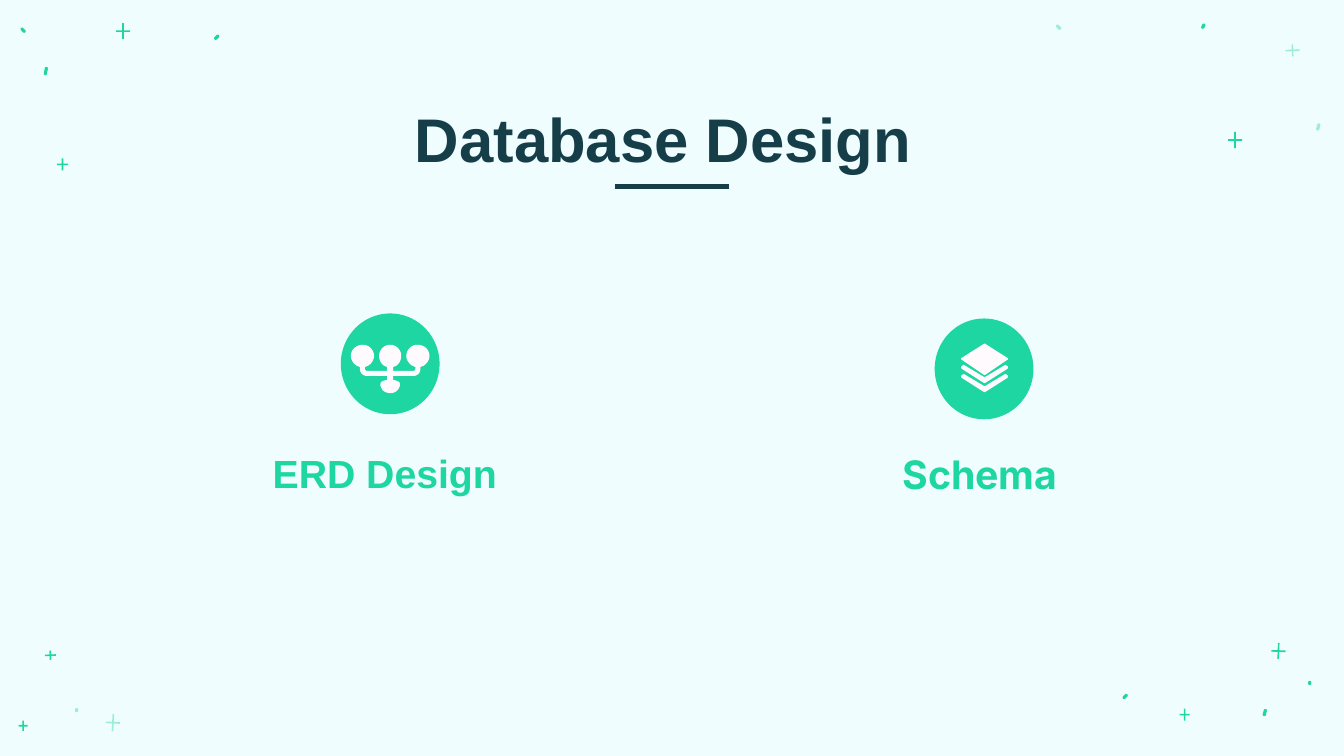
import math
from lxml import etree
from pptx import Presentation
from pptx import util as u
from pptx.dml.color import RGBColor
from pptx.enum import shapes, text
from pptx.oxml.ns import qn

GREEN, NAVY, ICON_WHITE, BACKDROP = "1DD6A1", "163E49", "FEFAFD", "F0FDFF"


def color(hex_code):
    return RGBColor.from_string(hex_code)


def trace(start, segments, steps=8):
    """Turn lines (x, y) and cubic curves (six numbers) into points."""
    points = [start]
    for segment in segments:
        if len(segment) == 2:
            points.append(segment)
            continue
        (x0, y0), (x1, y1, x2, y2, x3, y3) = points[-1], segment
        for step in range(1, steps + 1):
            t = step / steps
            a, b, c, d = (1 - t) ** 3, 3 * t * (1 - t) ** 2, 3 * t * t * (1 - t), t ** 3
            points.append((a * x0 + b * x1 + c * x2 + d * x3,
                           a * y0 + b * y1 + c * y2 + d * y3))
    return points


def mirrored(half, axis):
    return half + [(2 * axis - x, y) for x, y in reversed(half)]


class Deck:
    def __init__(self):
        self.prs = Presentation()
        self.prs.slide_width, self.prs.slide_height = u.Inches(13.33), u.Inches(7.5)
        self.slide = self.prs.slides.add_slide(self.prs.slide_layouts[5])
        self.slide.background.fill.solid()
        self.slide.background.fill.fore_color.rgb = color(BACKDROP)

    def paint(self, shape, fill, faint=False):
        shape.shadow.inherit = False
        shape.fill.solid()
        shape.fill.fore_color.rgb = color(fill)
        shape.line.fill.background()
        if faint:
            tint = shape._element.spPr.find(qn("a:solidFill"))[0]
            etree.SubElement(tint, qn("a:alpha")).set("val", "40000")
        return shape

    def preset(self, kind, box, fill):
        shape = self.slide.shapes.add_shape(kind, *map(u.Inches, box))
        return self.paint(shape, fill)

    def outline(self, points, fill, faint=False):
        corners = [(u.Inches(x), u.Inches(y)) for x, y in points]
        builder = self.slide.shapes.build_freeform(*corners[0])
        builder.add_line_segments(corners[1:], close=True)
        return self.paint(builder.convert_to_shape(), fill, faint)

    def cross(self, cx, cy, width, height, tilt=0, faint=False):
        w, h, t = width / 2, height / 2, 0.008
        quarter = [(t, -h), (t, -t), (w, -t)]
        right = quarter + [(x, -y) for x, y in reversed(quarter)]
        points = [(cx + x, cy + y) for x, y in mirrored(right, 0)]
        self.outline(points, GREEN, faint).rotation = tilt

    def dash(self, x1, y1, x2, y2, faint=False, radius=0.016):
        """A short stroke with round ends."""
        heading = math.atan2(y2 - y1, x2 - x1)
        points = []
        for x, y, turn in ((x2, y2, -math.pi / 2), (x1, y1, math.pi / 2)):
            for step in range(9):
                angle = heading + turn + math.pi * step / 8
                points.append((x + radius * math.cos(angle), y + radius * math.sin(angle)))
        self.outline(points, GREEN, faint)

    def set_words(self, shape, words, box, size, fill, font="Arial", inset=0.1, spacing=0.9):
        for side, length in zip(("left", "top", "width", "height"), box):
            setattr(shape, side, u.Inches(length))
        frame = shape.text_frame
        frame.text = words
        margins = {f"margin_{side}": u.Inches(inset)
                   for side in ("left", "top", "right", "bottom")}
        paragraph = frame.paragraphs[0]
        run = paragraph.runs[0]
        formats = (
            (frame, {"word_wrap": True, "auto_size": text.MSO_AUTO_SIZE.NONE,
                     "vertical_anchor": text.MSO_ANCHOR.BOTTOM, **margins}),
            (paragraph, {"alignment": text.PP_ALIGN.CENTER, "line_spacing": spacing}),
            (run.font, {"name": font, "size": u.Pt(size), "bold": True}),
        )
        for target, values in formats:
            for name, value in values.items():
                setattr(target, name, value)
        run.font.color.rgb = color(fill)

    def title(self, words, box, **style):
        self.set_words(self.slide.shapes.title, words, box, **style)

    def label(self, words, box, **style):
        shape = self.slide.shapes.add_textbox(*map(u.Inches, box))
        self.set_words(shape, words, box, **style)


def main():
    deck = Deck()

    # Confetti in the corners: centre, size, tilt, faint
    for sparkle in (
        (1.22, 0.31, 0.14, 0.16), (12.25, 1.39, 0.14, 0.16),
        (12.82, 0.5, 0.14, 0.12, -2, True), (0.62, 1.63, 0.11, 0.12),
        (0.23, 7.2, 0.09, 0.1), (11.75, 7.09, 0.1, 0.12),
        (1.12, 7.17, 0.14, 0.17, 3, True), (0.5, 6.5, 0.11, 0.09, -2),
        (12.68, 6.46, 0.14, 0.16, 2),
    ):
        deck.cross(*sparkle)
    for stroke in (
        (12.55, 7.05, 12.54, 7.09), (12.99, 6.77, 12.99, 6.78),
        (11.94, 0.25, 11.93, 0.27), (0.22, 0.29, 0.24, 0.31),
        (0.46, 0.68, 0.45, 0.73), (2.16, 0.36, 2.14, 0.38),
        (10.49, 0.26, 10.51, 0.28, True), (13.08, 1.24, 13.07, 1.28, True),
        (0.76, 7.04, 0.76, 7.05, True), (11.17, 6.9, 11.15, 6.92),
    ):
        deck.dash(*stroke)

    # Title with its rule
    deck.title("Database Design ", (1.16, 1.06, 11.01, 0.81),
               size=44, fill=NAVY, inset=0.13)
    deck.preset(shapes.MSO_SHAPE.MATH_MINUS, (5.89, 1.75, 1.55, 0.21), NAVY)

    # Topics: label and disc
    for words, label_box, font, spacing, disc in (
        ("ERD Design ", (2, 4.43, 3.74, 0.6), "Arial", 0.9, (3.38, 3.11)),
        ("Schema ", (8.2, 4.43, 3.13, 0.6), "Inter", 1.0, (9.27, 3.16)),
    ):
        deck.label(words, label_box, size=28, fill=GREEN, font=font, spacing=spacing)
        deck.preset(shapes.MSO_SHAPE.OVAL, (*disc, 0.98, 1), GREEN)

    # Three linked nodes
    nodes = trace((3.87, 3.9), [
        (3.91, 3.9, 3.95, 3.88, 3.96, 3.84), (3.97, 3.83, 3.97, 3.81, 3.96, 3.79),
        (3.94, 3.78, 3.92, 3.77, 3.9, 3.77), (3.9, 3.73), (4.1, 3.73),
        (4.14, 3.73, 4.17, 3.7, 4.17, 3.66), (4.17, 3.64),
        (4.22, 3.63, 4.26, 3.58, 4.26, 3.53), (4.26, 3.47, 4.21, 3.42, 4.14, 3.42),
        (4.08, 3.42, 4.03, 3.47, 4.03, 3.53), (4.03, 3.58, 4.07, 3.63, 4.12, 3.64),
        (4.12, 3.66), (4.12, 3.67, 4.11, 3.68, 4.1, 3.68), (3.9, 3.68), (3.9, 3.64),
        (3.95, 3.63, 3.98, 3.58, 3.98, 3.53), (3.98, 3.47, 3.93, 3.42, 3.87, 3.42),
    ])
    deck.outline(mirrored(nodes, 3.87), ICON_WHITE)

    # Stacked layers
    axis = 9.765
    sheet = trace((9.76, 3.41), [
        (9.54, 3.55), (9.53, 3.55, 9.53, 3.57, 9.54, 3.57), (9.76, 3.72)])
    deck.outline(mirrored(sheet, axis), ICON_WHITE)
    for top in (3.62, 3.71):
        edge = trace((9.56, top), [
            (9.54, top + 0.01),
            (9.53, top + 0.02, 9.53, top + 0.03, 9.54, top + 0.04),
            (9.76, top + 0.18)])
        inner = [(9.76, top + 0.12)]
        deck.outline(mirrored(inner + edge, axis), ICON_WHITE)

    deck.prs.save("out.pptx")


if __name__ == "__main__":
    main()
